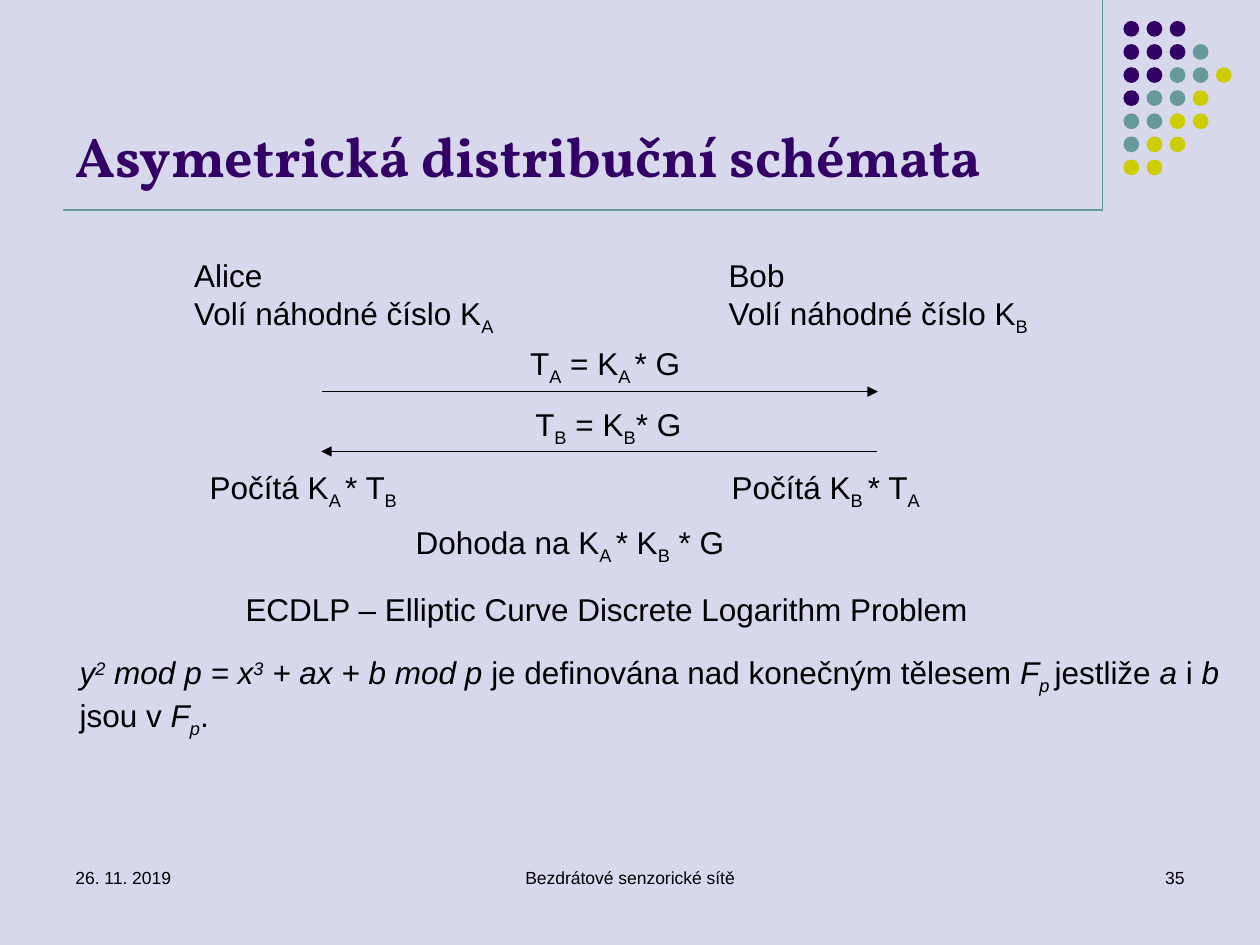
from pptx import Presentation
from pptx.dml.color import RGBColor as RGB
from pptx.enum.shapes import MSO_CONNECTOR as Link, MSO_SHAPE as Form
from pptx.enum.text import MSO_ANCHOR as Anchor, MSO_AUTO_SIZE as Auto, PP_ALIGN as Align
from pptx.oxml.ns import qn
from pptx.util import Inches, Pt
from lxml.etree import SubElement

BLACK = RGB(0, 0, 0)
PURPLE = RGB(0x33, 0, 0x66)
TEAL = RGB(0x66, 0x99, 0x99)
LIME = RGB(0xCC, 0xCC, 0)
PALE = RGB(0xD8, 0xD8, 0xEC)

deck = Presentation()
deck.slide_width, deck.slide_height = Inches(10), Inches(7.5)
unit = deck.slide_width / 120
slide = deck.slides.add_slide(deck.slide_layouts[5])
slide.background.fill.solid()
slide.background.fill.fore_color.rgb = PALE
shapes = slide.shapes


def grid(*spans):
    return [round(span * unit) for span in spans]


def write(spot, lines, size=18, align=Align.LEFT, wrap=False, grow=True):
    frame = shapes.add_textbox(*grid(*spot)).text_frame
    frame.word_wrap = wrap
    frame.auto_size = Auto.SHAPE_TO_FIT_TEXT if grow else Auto.NONE
    for row, line in enumerate(lines.split("\n")):
        para = frame.add_paragraph() if row else frame.paragraphs[0]
        para.alignment = align
        para.font.size, para.font.name = Pt(size), "Arial"
        para.font.color.rgb = BLACK
        for part in line.split("|"):
            run = para.add_run()
            if part.startswith("/"):
                run.font.italic = True
                part = part[1:]
            shift = {"_": "-25000", "^": "30000"}.get(part[0])
            if shift:
                run.font._element.set("baseline", shift)
                part = part[1:]
            run.text = part


title = shapes.title
title.left, title.top, title.width, title.height = grid(6, 1.6, 99, 17)
title.text_frame.text = "Asymetrická distribuční schémata"
title.text_frame.vertical_anchor = Anchor.BOTTOM
head = title.text_frame.paragraphs[0]
head.alignment = Align.LEFT
head.font.name, head.font.size, head.font.bold = "Vollkorn", Pt(32), True
head.font.color.rgb = PURPLE

inks = {"P": PURPLE, "T": TEAL, "L": LIME}
for row, tones in enumerate("PPP PPPT PPTTL PTTL TTLL TLL LL".split()):
    for col, tone in enumerate(tones):
        dot = shapes.add_shape(Form.OVAL, *grid(107 + 2.2 * col, 2 + 2.2 * row, 1.5, 1.5))
        dot.shadow.inherit = False
        dot.fill.solid()
        dot.fill.fore_color.rgb = inks[tone]
        dot.line.fill.background()

for ends, ink, arrow in [
    ((105, 0, 105, 20), TEAL, False),
    ((6, 20, 105, 20), TEAL, False),
    ((30.7, 37.3, 83.6, 37.3), BLACK, True),
    ((83.5, 43, 30.6, 43), BLACK, True),
]:
    line = shapes.add_connector(Link.STRAIGHT, *grid(*ends))
    line.line.color.rgb = ink
    line.line.width = Pt(0.75)
    if arrow:
        SubElement(line.line._get_or_add_ln(), qn("a:tailEnd"), type="triangle")
    SubElement(line._element.spPr, qn("a:effectLst"))

for spot, lines in [
    ((17.3, 23.8, 32, 8.5), "Alice\nVolí náhodné číslo K|_A"),
    ((68.2, 23.8, 31.3, 8.5), "Bob\nVolí náhodné číslo K|_B"),
    ((49.3, 32.2, 17.2, 4.8), "T|_A| = K|_A |* G"),
    ((49.8, 38, 16.8, 4.8), "T|_B| = K|_B|* G"),
    ((18.8, 44, 21.1, 4.8), "Počítá K|_A |* T|_B"),
    ((68.5, 44, 21, 4.8), "Počítá K|_B |* T|_A"),
    ((22.2, 55.6, 71.9, 4.8), "ECDLP – Elliptic Curve Discrete Logarithm Problem"),
]:
    write(spot, lines)

write((38.4, 49.2, 40.2, 4.8), "Dohoda na K|_A |* K|_B| * G", wrap=True)
curve = (
    "/y|/^2|/ mod p = x|/^3|/ + ax + b mod p |je definována nad konečným tělesem "
    "|/F|/_p |jestliže |/a |i |/b |jsou v |/F|/_p|."
)
write((6.4, 61.6, 111.6, 8.5), curve, wrap=True)

for left, width, words, align in [
    (6, 28, "26. 11. 2019", Align.LEFT),
    (41, 38, "Bezdrátové senzorické sítě", Align.CENTER),
    (86, 28, "35", Align.RIGHT),
]:
    write((left, 82, width, 6), words, 10, align, wrap=True, grow=False)

deck.save("out.pptx")
